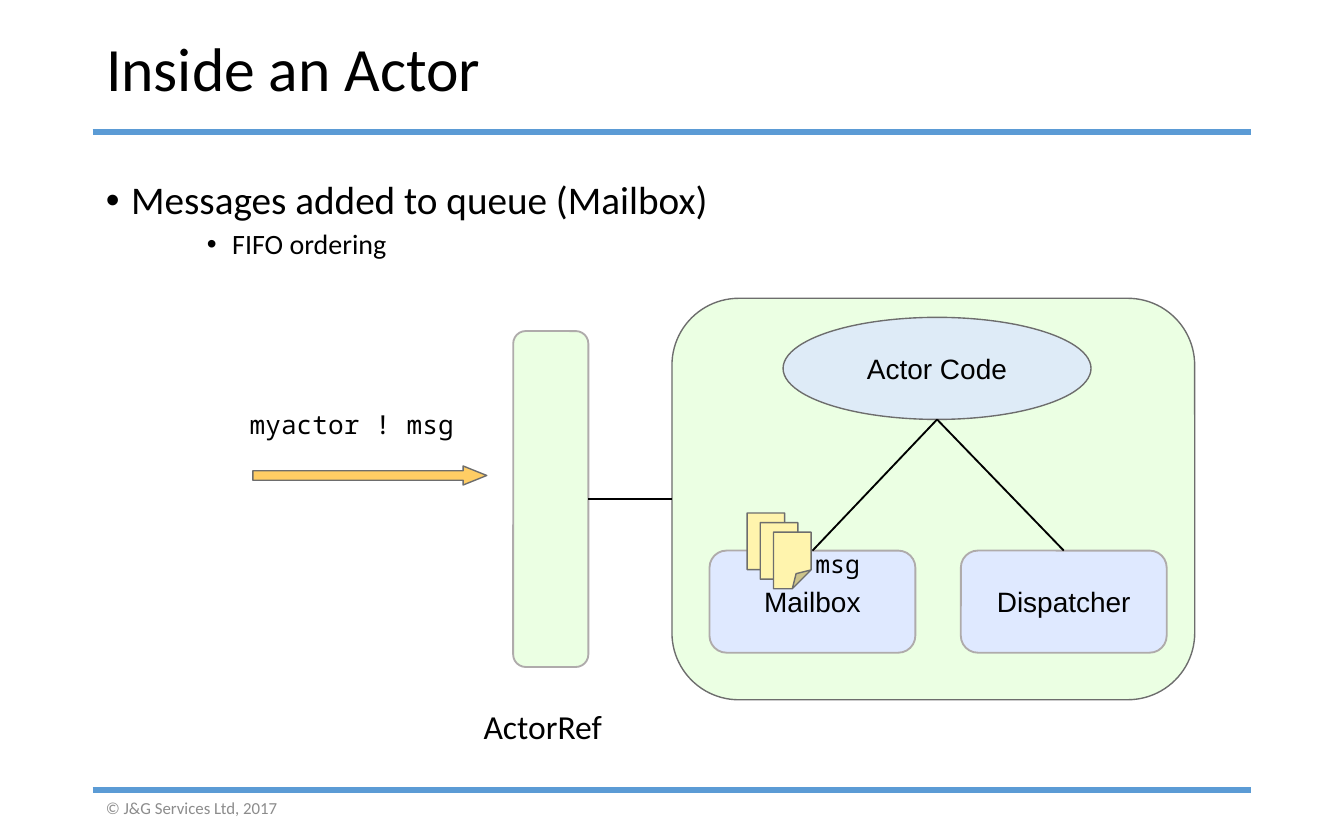
import pptx
import pptx.util
import pptx.dml.color
import pptx.enum.shapes
import pptx.enum.text
import pptx.oxml
import pptx.oxml.ns
from pptx.util import Cm, Pt

KIND = pptx.enum.shapes.MSO_SHAPE
STRAIGHT = pptx.enum.shapes.MSO_CONNECTOR.STRAIGHT
ANCHOR = pptx.enum.text.MSO_ANCHOR
ALIGN = pptx.enum.text.PP_ALIGN
SPACE = pptx.oxml.ns.nsdecls("a")
rgb = pptx.dml.color.RGBColor.from_string

deck = pptx.Presentation()
deck.slide_width, deck.slide_height = Cm(25.4), Cm(15.88)
slide = deck.slides.add_slide(deck.slide_layouts[5])
shapes = slide.shapes


def draw(kind, box, fill, edge, width, text=""):
    """Add a preset shape with optional centred text."""
    shape = shapes.add_shape(kind, *map(Cm, box))
    shape.shadow.inherit = False
    shape.fill.solid()
    shape.fill.fore_color.rgb = rgb(fill)
    shape.line.color.rgb = rgb(edge)
    shape.line.width = Pt(width)
    if text:
        shape.text_frame.text = text
        shape.text_frame.vertical_anchor = ANCHOR.MIDDLE
        para = shape.text_frame.paragraphs[0]
        para.alignment = ALIGN.CENTER
        font = para.runs[0].font
        font.name, font.size = "Arial", Pt(15)
        font.color.rgb = rgb("000000")
    return shape


def link(start, end, color="000000", width=1):
    """Add a straight line between two points."""
    line = shapes.add_connector(STRAIGHT, *map(Cm, start + end))
    line.line.color.rgb = rgb(color)
    line.line.width = Pt(width)
    line._element.spPr.append(pptx.oxml.parse_xml(f"<a:effectLst {SPACE}/>"))
    return line


# Title and the two rules
for y in (2.49, 14.94):
    link((1.75, y), (23.65, y), "5B9BD5", 3)

title = shapes.title
title.left, title.top, title.width, title.height = map(Cm, (1.75, 0.46, 21.9, 1.78))
frame = title.text_frame
frame.text = "Inside an Actor"
frame.auto_size = pptx.enum.text.MSO_AUTO_SIZE.NONE
frame.vertical_anchor = ANCHOR.MIDDLE
para = frame.paragraphs[0]
para.alignment = ALIGN.LEFT
para.line_spacing = 0.9
font = para.runs[0].font
font.name, font.size = "Calibri", Pt(33)
font.color.rgb = rgb("000000")

# Bullets: text, level, left margin in cm, size, space before
body = shapes.add_textbox(*map(Cm, (1.75, 3.3, 19.4, 3))).text_frame
body.word_wrap = True
points = [
    ("Messages added to queue (Mailbox)", 0, 0.48, 21, 0),
    ("FIFO ordering", 2, 2.39, 15, 3.8),
]
body.text = "\n".join(point[0] for point in points)
for para, (text, level, left, size, before) in zip(body.paragraphs, points):
    para.level = level
    para.line_spacing = 0.9
    para.space_before = Pt(before)
    props = para._p.get_or_add_pPr()
    props.set("marL", str(int(Cm(left))))
    props.set("indent", str(-int(Cm(0.48))))
    for tag, key, value in (("buFont", "typeface", "Arial"), ("buChar", "char", "•")):
        props.append(pptx.oxml.parse_xml(f'<a:{tag} {SPACE} {key}="{value}"/>'))
    font = para.runs[0].font
    font.name, font.size = "Calibri", Pt(size)
    font.color.rgb = rgb("000000")

# Actor, its reference and its parts
actor = draw(KIND.ROUNDED_RECTANGLE, (12.7, 5.64, 9.88, 7.59), "EBFFE3", "6D6D6D", 0.75)
ref = draw(KIND.ROUNDED_RECTANGLE, (9.7, 6.26, 1.42, 6.35), "EBFFE3", "AFABAB", 1)
arrow = draw(KIND.RIGHT_ARROW, (4.78, 8.81, 4.42, 0.36), "FFCD64", "6D6D6D", 0.75)
arrow.adjustments[1] = 1.24
draw(KIND.OVAL, (14.8, 6, 5.82, 1.93), "DEEBF7", "6D6D6D", 0.75, "Actor Code")

for x, name in ((13.41, "Mailbox"), (18.16, "Dispatcher")):
    part = draw(KIND.ROUNDED_RECTANGLE, (x, 10.41, 3.89, 1.93),
                "DFE9FF", "AFABAB", 1, name)
    link((17.71, 7.93), (x + 1.95, 10.41)).end_connect(part, 0)

line = link((11.12, 9.44), (12.7, 9.44))
line.begin_connect(ref, 3)
line.end_connect(actor, 1)

# Queued messages, each with a large folded corner
for i in range(3):
    note = draw(KIND.FOLDED_CORNER, (14.12 + 0.25 * i, 9.7 + 0.18 * i, 0.71, 1.07),
                "FFF4AD", "6D6D6D", 0.75)
    guides = note._element.spPr.find(".//" + pptx.oxml.ns.qn("a:avLst"))
    guides.append(pptx.oxml.parse_xml(f'<a:gd {SPACE} name="adj" fmla="val 50000"/>'))

# Labels
MONO = "Noto Sans Mono"
for text, box, face, size, color, anchor in (
    ("ActorRef", (8.89, 13.23, 3.1, 1.02), "Calibri", 18, "000000", ANCHOR.TOP),
    ("myactor ! msg", (4.47, 7.59, 4.75, 0.86), MONO, 14, "000000", ANCHOR.TOP),
    ("msg", (15.16, 10.24, 1.42, 0.84), MONO, 13.3, "000000", ANCHOR.TOP),
    ("© J&G Services Ltd, 2017", (1.75, 15.01, 5.72, 0.53), "Calibri", 9, "8C8C8C",
     ANCHOR.MIDDLE),
):
    frame = shapes.add_textbox(*map(Cm, box)).text_frame
    frame.text = text
    frame.word_wrap = True
    frame.vertical_anchor = anchor
    font = frame.paragraphs[0].runs[0].font
    font.name, font.size = face, Pt(size)
    font.color.rgb = rgb(color)

deck.save("out.pptx")
